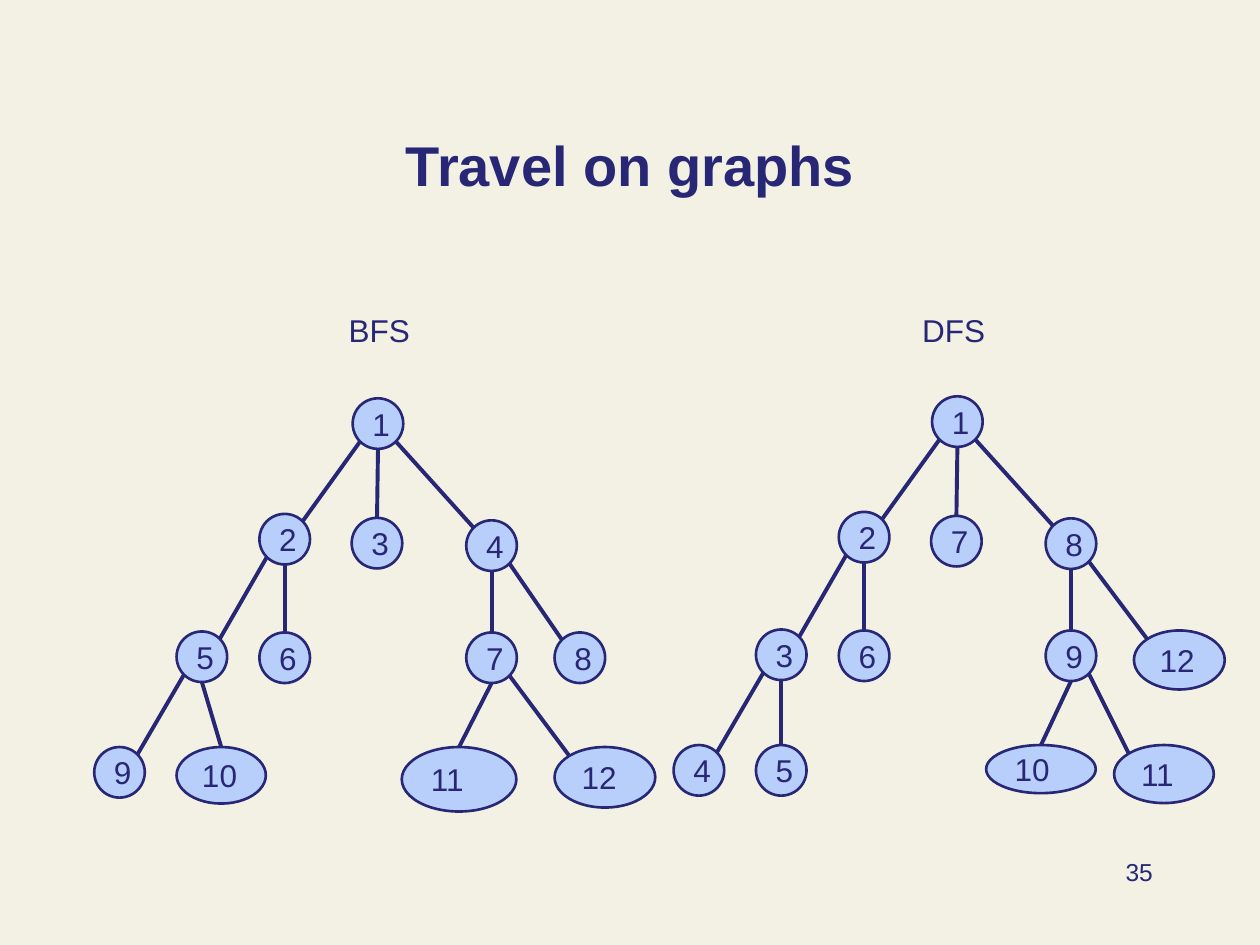
from pptx import Presentation
from pptx.dml.color import RGBColor
from pptx.enum.shapes import MSO_CONNECTOR, MSO_SHAPE
from pptx.enum.text import MSO_ANCHOR, PP_ALIGN
from pptx.oxml.ns import qn
from pptx.util import Cm, Pt
from lxml.etree import SubElement

THEME = {
    "background": RGBColor.from_string("F3F1E4"),
    "ink": RGBColor.from_string("272776"),
    "node": RGBColor.from_string("B8CFFB"),
    "font": "Arial",
    "title_size": Pt(32),
    "label_size": Pt(18),
    "number_size": Pt(14),
    "outline": Pt(1.5),
    "edge": Pt(2.25),
}

CAPTIONS = [
    ("Travel on graphs", (1.91, 1.37, 21.59, 2.74), "title_size",
     {"bold": True}, PP_ALIGN.CENTER, {"vertical_anchor": MSO_ANCHOR.BOTTOM, "word_wrap": True}),
    ("35", (18.21, 17.15, 5.28, 1.27), "number_size", {}, PP_ALIGN.RIGHT, {"word_wrap": True}),
    ("BFS", (6.78, 6.15, 1.75, 1.02), "label_size", {}, PP_ALIGN.LEFT, {"word_wrap": False}),
    ("DFS", (18.34, 6.15, 1.8, 1.02), "label_size", {}, PP_ALIGN.LEFT, {"word_wrap": False}),
]

POSITIONS = {
    "root": (7.11, 8.03),
    "left": (5.23, 10.36),
    "middle": (7.09, 10.44),
    "right": (9.4, 10.49),
    "left outer": (3.56, 12.73),
    "left inner": (5.23, 12.75),
    "right inner": (9.4, 12.75),
    "right outer": (11.18, 12.75),
    "leaf 1": (1.9, 15.06),
    "leaf 2": (3.56, 15.06),
    "leaf 3": (8.1, 15.06),
    "leaf 4": (11.18, 15.06),
}

EDGES = [
    ("root", "middle", "down"),
    ("root", "left", "left"),
    ("root", "right", "right"),
    ("left", "left inner", "down"),
    ("left", "left outer", "left"),
    ("left outer", "leaf 2", "down"),
    ("left outer", "leaf 1", "left"),
    ("right", "right inner", "down"),
    ("right", "right outer", "right"),
    ("right inner", "leaf 3", "down"),
    ("right inner", "leaf 4", "right"),
]

TREES = [
    {
        "offset": (11.68, -0.04),
        "visits": [1, 2, 7, 8, 3, 6, 9, 12, 4, 5, 10, 11],
        "sizes": {"right outer": (1.83, 1.19), "leaf 3": (2.21, 0.97), "leaf 4": (2.01, 1.17)},
        "shifts": {"leaf 3": 0.1, "leaf 4": -0.4},
    },
    {
        "offset": (0, 0),
        "visits": [1, 2, 3, 4, 5, 6, 7, 8, 9, 10, 11, 12],
        "sizes": {"leaf 2": (1.8, 1.14), "leaf 3": (2.31, 1.3), "leaf 4": (2.03, 1.22)},
        "shifts": {},
    },
]

NODE_SIZE = (1.02, 1.02)
DIAGONAL = 0.5 ** 0.5 / 2
EDGE_SIDES = {"left": -DIAGONAL, "down": 0, "right": DIAGONAL}


def apply(target, values):
    for name, value in values.items():
        setattr(target, name, value)


def write(holder, text, size, font_values, align, frame_values):
    frame = holder.text_frame
    apply(frame, frame_values)
    paragraph = frame.paragraphs[0]
    paragraph.alignment = align
    run = paragraph.add_run()
    run.text = text
    apply(run.font, {"name": THEME["font"], "size": THEME[size], **font_values})
    run.font.color.rgb = THEME["ink"]


def outline(line, width):
    line.color.rgb = THEME["ink"]
    line.width = THEME[width]


def add_node(slide, visit, box):
    node = slide.shapes.add_shape(MSO_SHAPE.OVAL, *map(Cm, box))
    node.shadow.inherit = False
    node.fill.solid()
    node.fill.fore_color.rgb = THEME["node"]
    outline(node.line, "outline")
    write(node, str(visit), "label_size", {}, PP_ALIGN.LEFT,
          {"vertical_anchor": MSO_ANCHOR.MIDDLE, "word_wrap": False})


def rim_point(box, across, down):
    left, top, width, height = box
    return Cm(left + width * (0.5 + across)), Cm(top + height * (0.5 + down))


def add_edge(slide, parent, child, side):
    across = EDGE_SIDES[side]
    down = DIAGONAL if across else 0.5
    edge = slide.shapes.add_connector(
        MSO_CONNECTOR.STRAIGHT, *rim_point(parent, across, down), *rim_point(child, -across, -down))
    outline(edge.line, "edge")
    SubElement(edge._element.spPr, qn("a:effectLst"))


def add_tree(slide, tree):
    offset_x, offset_y = tree["offset"]
    boxes = {}
    for (place, (left, top)), visit in zip(POSITIONS.items(), tree["visits"]):
        shift = tree["shifts"].get(place, 0)
        size = tree["sizes"].get(place, NODE_SIZE)
        boxes[place] = (left + offset_x + shift, top + offset_y, *size)
        add_node(slide, visit, boxes[place])
    for parent, child, side in EDGES:
        add_edge(slide, boxes[parent], boxes[child], side)


def main():
    deck = Presentation()
    apply(deck, {"slide_width": Cm(25.4), "slide_height": Cm(19.05)})
    slide = deck.slides.add_slide(deck.slide_layouts[6])
    slide.background.fill.solid()
    slide.background.fill.fore_color.rgb = THEME["background"]
    for text, box, *style in CAPTIONS:
        write(slide.shapes.add_textbox(*map(Cm, box)), text, *style)
    for tree in TREES:
        add_tree(slide, tree)
    deck.save("out.pptx")


if __name__ == "__main__":
    main()
